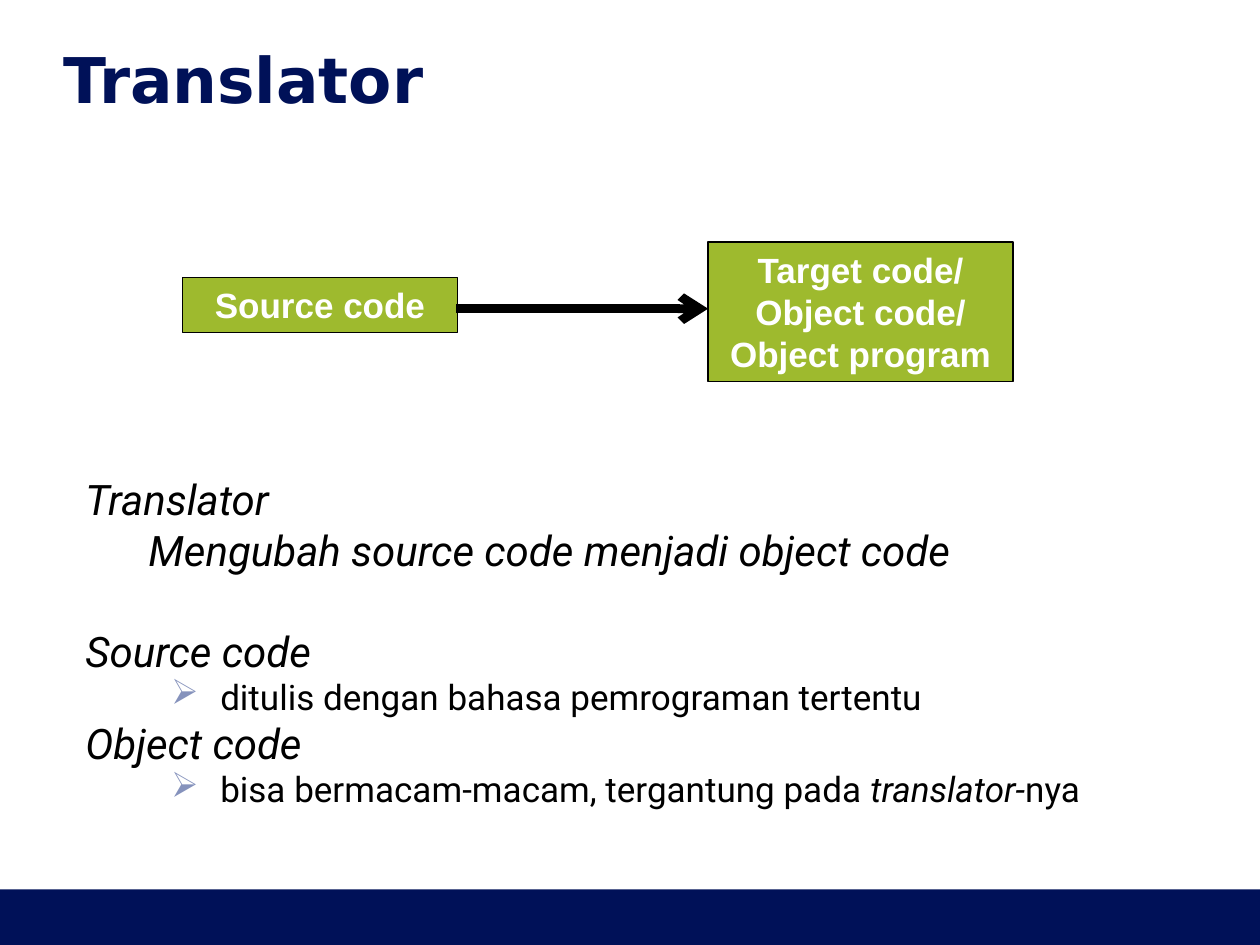
import pptx
import pptx.util
import pptx.dml.color
import pptx.enum.shapes
import pptx.enum.text
import pptx.oxml.ns
from lxml import etree

Inches, Pt = pptx.util.Inches, pptx.util.Pt
RGB = pptx.dml.color.RGBColor
Align = pptx.enum.text.PP_ALIGN
Anchor = pptx.enum.text.MSO_ANCHOR
RECT = pptx.enum.shapes.MSO_SHAPE.RECTANGLE
qn = pptx.oxml.ns.qn

NAVY = RGB(0x00, 0x11, 0x58)
GREEN = RGB(0x9E, 0xBA, 0x2E)
BLACK = RGB(0, 0, 0)
WHITE = RGB(0xFF, 0xFF, 0xFF)
BULLET = "8592BC"

WIDE, HIGH = 10, 7.5
FLOW = 2.45  # height of the arrow

# level, space before, runs of (text, italic)
NOTES = [
    ("head", 0, [("Translator", True)]),
    ("sub", 0, [("Mengubah source code menjadi object code", True)]),
    ("head", 29, [("Source code", True)]),
    ("item", 0, [("ditulis dengan bahasa pemrograman tertentu", False)]),
    ("head", 0, [("Object code", True)]),
    ("item", 0, [("bisa bermacam-macam, tergantung pada ", False),
                 ("translator-", True), ("nya", False)]),
]
# level: (left margin, first-line indent, size)
LEVELS = {"head": (0.38, -0.38, 24), "sub": (0.88, -0.38, 24),
          "item": (1.07, -0.39, 20)}


def style(font, name, size, color, bold=False):
    font.name, font.size, font.bold = name, Pt(size), bold
    font.color.rgb = color


def add_rect(slide, left, top, width, height, fill):
    box = slide.shapes.add_shape(
        RECT, Inches(left), Inches(top), Inches(width), Inches(height))
    box.shadow.inherit = False
    box.fill.solid()
    box.fill.fore_color.rgb = fill
    box.line.fill.background()
    return box


def add_box(slide, left, top, width, height, lines):
    box = add_rect(slide, left, top, width, height, GREEN)
    box.line.color.rgb = BLACK
    box.line.width = Pt(0.75)
    frame = box.text_frame
    frame.word_wrap = True
    frame.vertical_anchor = Anchor.TOP
    frame.text = "\n".join(lines)
    for para in frame.paragraphs:
        para.alignment = Align.CENTER
        style(para.font, "Arial", 20, WHITE, True)


def add_arrow(slide, start, end, level):
    line = slide.shapes.add_connector(
        pptx.enum.shapes.MSO_CONNECTOR.STRAIGHT,
        Inches(start), Inches(level), Inches(end), Inches(level))
    line.line.color.rgb = BLACK
    line.line.width = Pt(5)
    etree.SubElement(line.line._get_or_add_ln(), qn("a:tailEnd"), type="arrow")
    etree.SubElement(line._element.spPr, qn("a:effectLst"))


def indent(para, left, first, bullet):
    props = para._p.get_or_add_pPr()
    props.set("marL", str(Inches(left)))
    props.set("indent", str(Inches(first)))
    if bullet:
        color = etree.SubElement(props, qn("a:buClr"))
        etree.SubElement(color, qn("a:srgbClr"), val=BULLET)
        etree.SubElement(props, qn("a:buChar"), char="➢")
    else:
        etree.SubElement(props, qn("a:buNone"))


def add_notes(slide, left, top, width, height):
    frame = slide.shapes.add_textbox(
        Inches(left), Inches(top), Inches(width), Inches(height)).text_frame
    frame.word_wrap = True
    for i, (level, gap, runs) in enumerate(NOTES):
        para = frame.add_paragraph() if i else frame.paragraphs[0]
        margin, first, size = LEVELS[level]
        indent(para, margin, first, level == "item")
        if level != "head":
            para.level = 1
        if gap:
            para.space_before = Pt(gap)
        style(para.font, "Roboto", size, BLACK)
        for text, slant in runs:
            run = para.add_run()
            run.text = text
            run.font.italic = slant


def set_title(slide, text):
    title = slide.shapes.title
    title.left, title.top = Inches(0.5), Inches(0.15)
    title.width, title.height = Inches(WIDE - 1), Inches(0.95)
    frame = title.text_frame
    frame.margin_left = frame.margin_right = 0
    frame.margin_top = frame.margin_bottom = 0
    frame.vertical_anchor = Anchor.MIDDLE
    frame.text = text
    para = frame.paragraphs[0]
    para.alignment = Align.LEFT
    style(para.font, "DejaVu Sans", 36, NAVY, True)


def main():
    deck = pptx.Presentation()
    deck.slide_width, deck.slide_height = Inches(WIDE), Inches(HIGH)
    slide = deck.slides.add_slide(deck.slide_layouts[5])
    add_rect(slide, 0, HIGH - 0.44, WIDE, 0.44, NAVY)
    set_title(slide, "Translator")
    add_box(slide, 1.45, 2.2, 2.18, 0.44, ["Source code"])
    add_box(slide, 5.62, 1.92, 2.42, 1.11,
            ["Target code/", "Object code/", "Object program"])
    add_arrow(slide, 3.62, 5.62, FLOW)
    add_notes(slide, 0.58, 3.71, 9, 3.04)
    deck.save("out.pptx")


if __name__ == "__main__":
    main()
